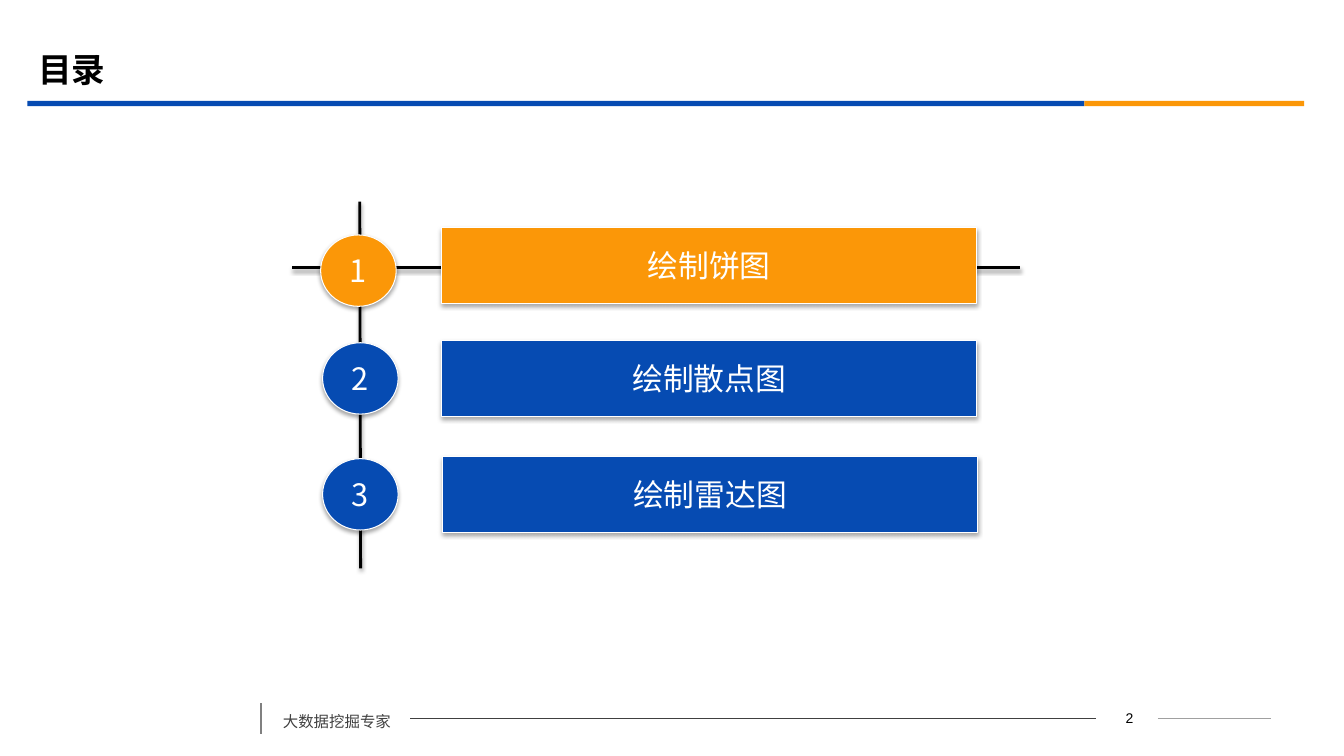
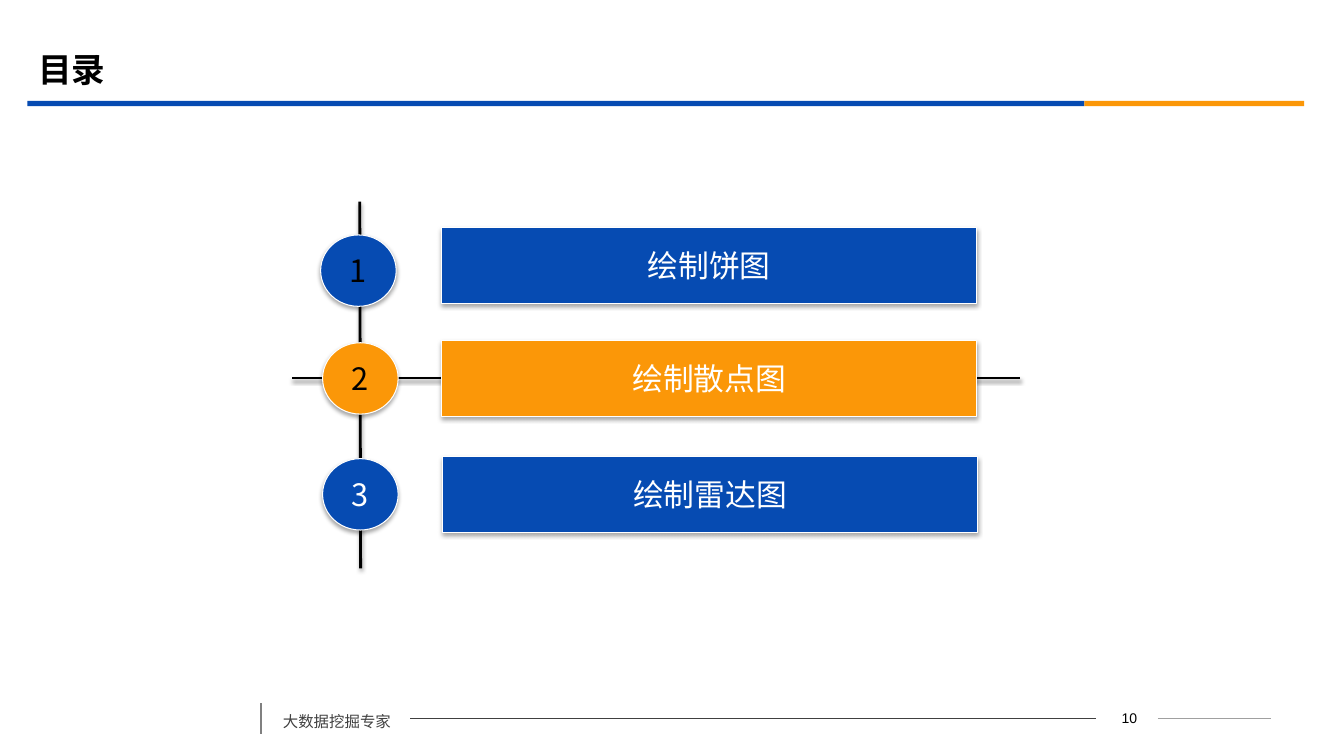
from lxml.etree import SubElement as Sub
from pptx import Presentation
from pptx.dml.color import RGBColor
from pptx.enum.shapes import MSO_CONNECTOR as Link, MSO_SHAPE as Kind
from pptx.enum.text import MSO_ANCHOR as Anchor, MSO_AUTO_SIZE as Fit, PP_ALIGN as Align
from pptx.oxml.ns import qn
from pptx.util import Pt

BLUE, GOLD = "064BB2", "FB9708"
WHITE, BLACK = "FFFFFF", "000000"
DARK, GREY, PALE = "404040", "808080", "A0A0A0"
HAN, LATIN = "Noto Sans CJK SC", "Arial"

ROWS = [
    ("绘制饼图", (229, 167.8), (315.4, 162.7)),
    ("绘制散点图", (230.4, 244.8), (315.4, 243.4)),
    ("绘制雷达图", (230.4, 327.6), (316.1, 326.2)),
]
PAGES = [
    ("2", 0, 190.8, (WHITE, WHITE, WHITE)),
    ("10", 1, 270, (BLACK, BLACK, WHITE)),
]


def tint(code):
    """Turn a hex string into a colour."""
    return RGBColor.from_string(code)


class Deck:
    """Hold the deck style and the current slide."""

    def __init__(self):
        """Open a wide, empty deck."""
        self.deck = Presentation()
        self.deck.slide_width, self.deck.slide_height = Pt(960), Pt(540)
        self.slide = None

    def page(self, title, num):
        """Start a slide with its title, rule and footer."""
        self.slide = self.deck.slides.add_slide(self.deck.slide_layouts[5])
        self.band(19.5, 755, BLUE)
        self.band(774.5, 157, GOLD)
        self.line(827, 513, 908, 513, PALE, 0.75)
        self.line(293, 513, 783, 513, DARK, 0.75)
        self.line(186.5, 502.5, 186.5, 524, GREY, 1.25)
        self.label(784.5, 503.5, 44.5, 18, num, 10, BLACK, LATIN, Align.CENTER)
        self.label(195, 500, 98, 31, "大数据挖掘专家", 11, DARK)
        self.title(title)

    def title(self, text):
        """Place and fill the title placeholder."""
        head = self.slide.shapes.title
        head.left, head.top, head.width, head.height = Pt(20), Pt(28), Pt(864), Pt(42)
        head.text_frame.auto_size = Fit.NONE
        self.words(head, text, 24, BLACK, align=Align.LEFT, bold=True)

    def words(self, shape, text, size, ink, font=HAN, align=Align.CENTER, bold=False):
        """Put one styled run in the middle of a shape."""
        frame = shape.text_frame
        frame.vertical_anchor = Anchor.MIDDLE
        para = frame.paragraphs[0]
        para.alignment = align
        run = para.add_run()
        run.text = text
        face = run.font
        face.name, face.size, face.bold = font, Pt(size), bold
        face.color.rgb = tint(ink)
        Sub(run._r.get_or_add_rPr(), qn("a:ea"), typeface=font)

    def label(self, x, y, w, h, text, size, ink, font=HAN, align=Align.LEFT):
        """Add a wrapped text box."""
        box = self.slide.shapes.add_textbox(Pt(x), Pt(y), Pt(w), Pt(h))
        box.text_frame.word_wrap = True
        self.words(box, text, size, ink, font, align)

    def shade(self, effects, dist, alpha):
        """Fill an effect list with a soft shadow below."""
        cast = Sub(effects, qn("a:outerShdw"), blurRad=str(Pt(3.1)),
                   dist=str(Pt(dist)), dir="5400000", rotWithShape="0")
        base = Sub(cast, qn("a:srgbClr"), val=BLACK)
        Sub(base, qn("a:alpha"), val=str(alpha * 1000))

    def line(self, x1, y1, x2, y2, ink, width, cast=False):
        """Draw a straight line, with a shadow on request."""
        rule = self.slide.shapes.add_connector(
            Link.STRAIGHT, Pt(x1), Pt(y1), Pt(x2), Pt(y2))
        rule.line.color.rgb = tint(ink)
        rule.line.width = Pt(width)
        effects = Sub(rule.element.spPr, qn("a:effectLst"))
        if cast:
            self.shade(effects, 1.6, 38)

    def shape(self, kind, x, y, w, h, fill):
        """Add a filled shape without shadow."""
        item = self.slide.shapes.add_shape(kind, Pt(x), Pt(y), Pt(w), Pt(h))
        item.shadow.inherit = False
        item.fill.solid()
        item.fill.fore_color.rgb = tint(fill)
        return item

    def band(self, x, w, fill):
        """Add one part of the rule below the title."""
        self.shape(Kind.RECTANGLE, x, 72, w, 3.8, fill).line.fill.background()

    def badge(self, kind, spot, size, fill, text, ink):
        """Add a raised shape with a white edge and text."""
        item = self.shape(kind, *spot, *size, fill)
        item.line.color.rgb = tint(WHITE)
        item.line.width = Pt(0.75)
        self.shade(item.element.spPr.find(qn("a:effectLst")), 1.8, 35)
        item.text_frame.word_wrap = False
        self.words(item, text, 22, ink)

    def agenda(self, live, level, inks):
        """Draw the agenda with one row lit."""
        self.line(257, 144, 257.6, 406, BLACK, 2, True)
        self.line(208.8, level, 728.6, level, BLACK, 2, True)
        for num, ((text, ball, bar), ink) in enumerate(zip(ROWS, inks)):
            fill = GOLD if num == live else BLUE
            self.badge(Kind.OVAL, ball, (54, 51), fill, str(num + 1), ink)
            self.badge(Kind.ACTION_BUTTON_CUSTOM, bar, (382.3, 54), fill, text, WHITE)


def main():
    """Build and save the deck."""
    deck = Deck()
    for num, live, level, inks in PAGES:
        deck.page("目录", num)
        deck.agenda(live, level, inks)
    deck.deck.save("out.pptx")


if __name__ == "__main__":
    main()
